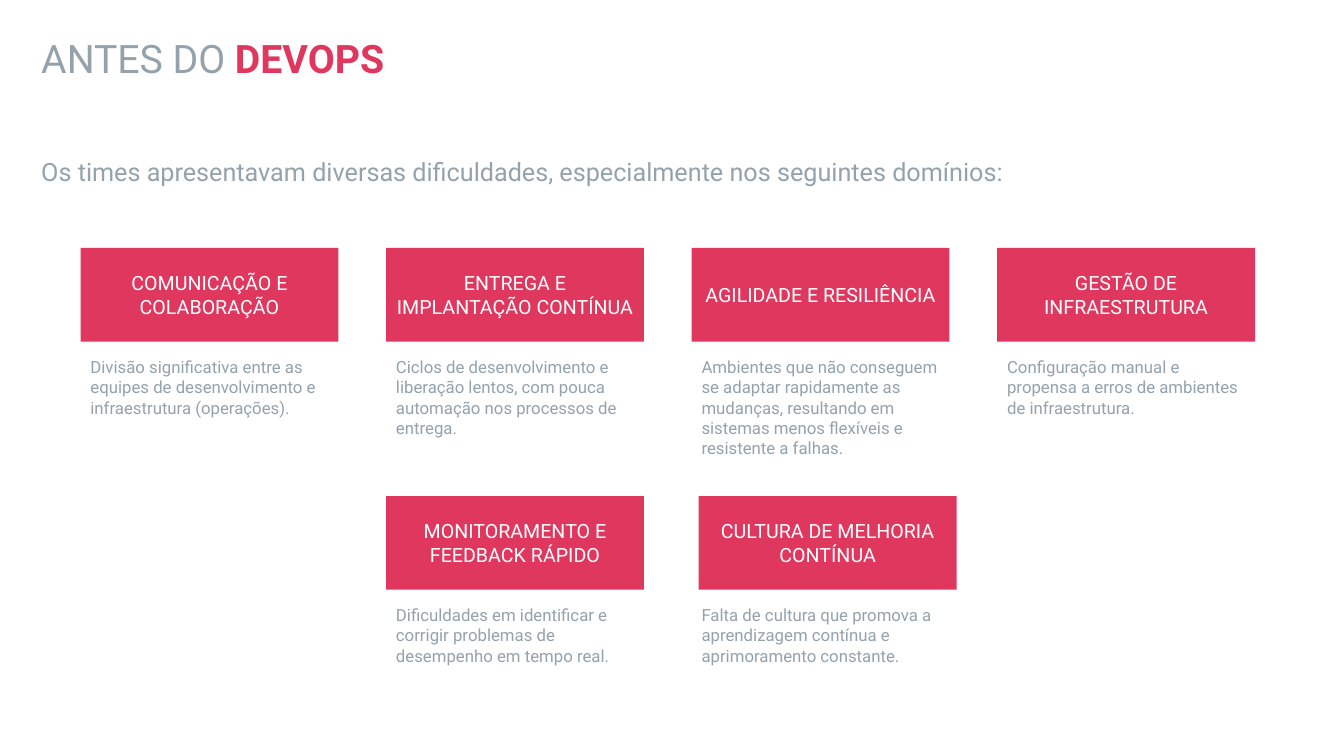
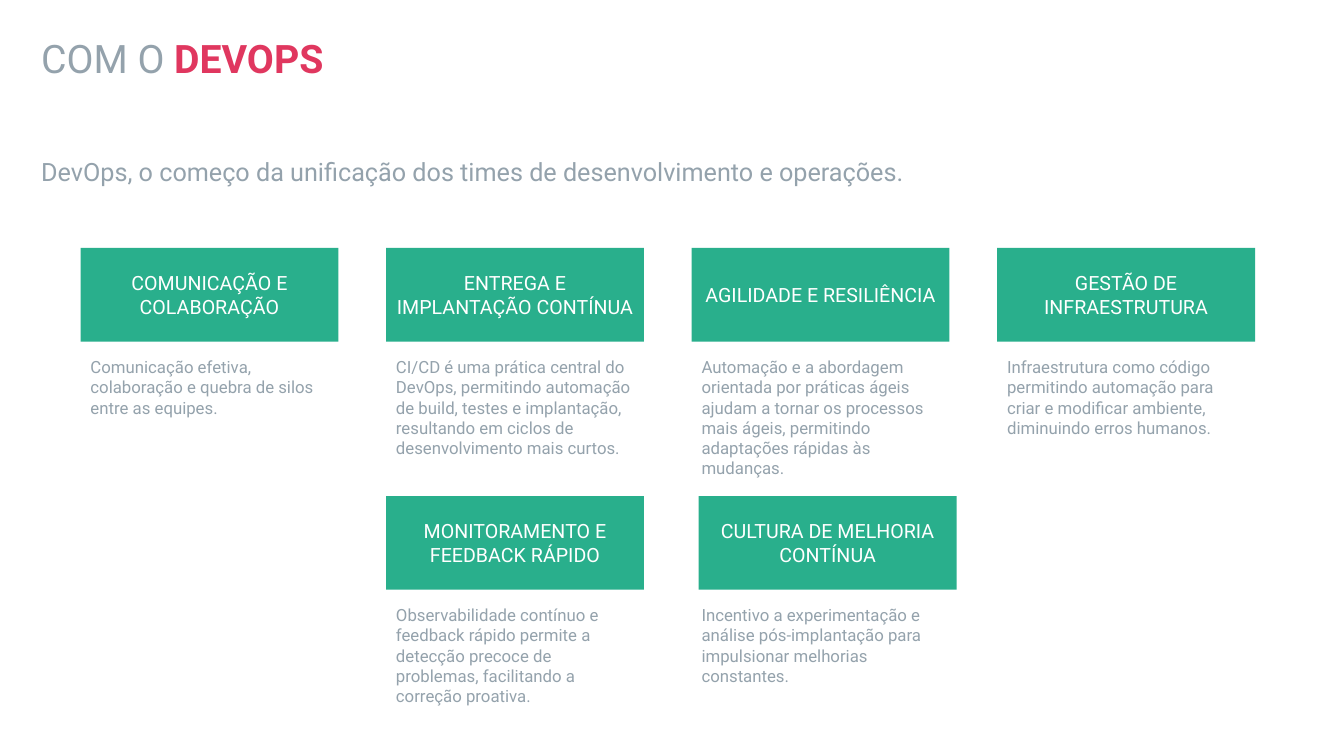
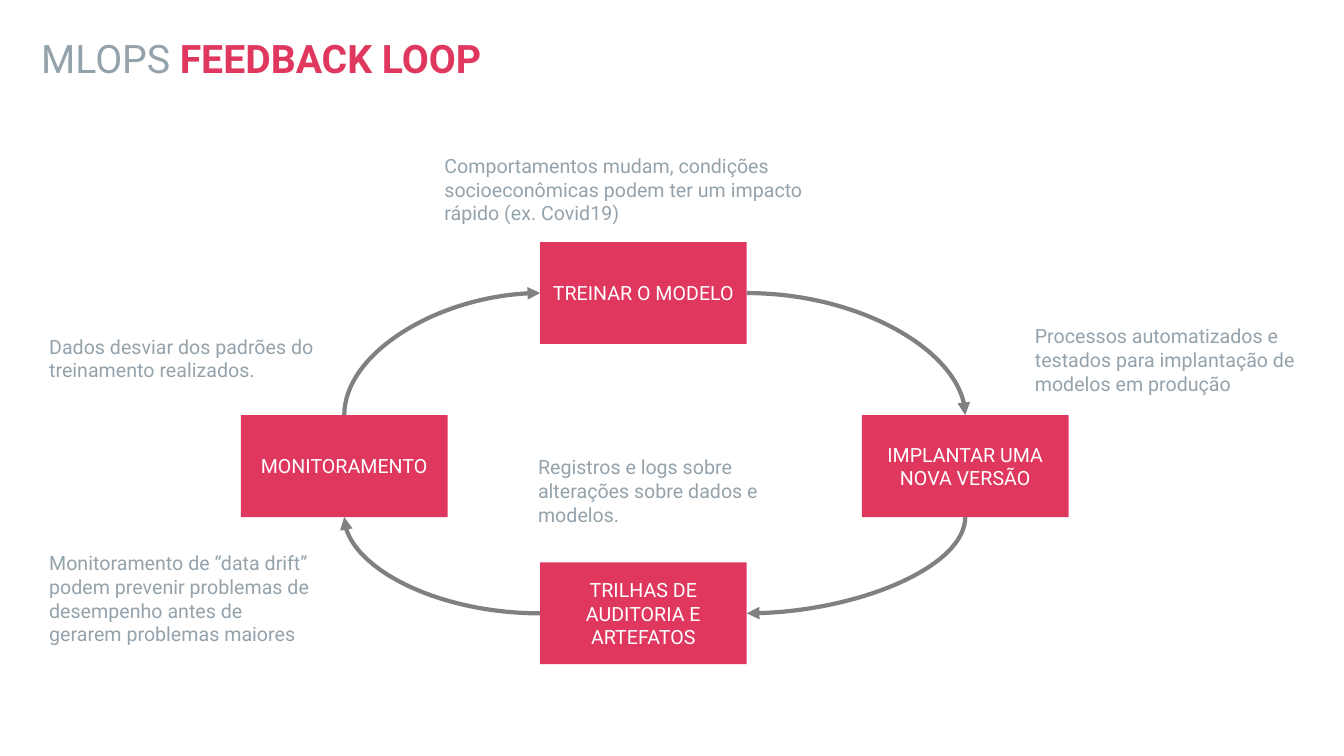
from lxml import etree
from pptx import Presentation
from pptx import util as u
from pptx.dml.color import RGBColor
from pptx.enum import shapes, text
from pptx.oxml.ns import qn

GREY = RGBColor(0x94, 0xA2, 0xAC)
PINK = RGBColor(0xE0, 0x37, 0x5F)
GREEN = RGBColor(0x29, 0xAF, 0x8C)
WHITE = RGBColor(0xFF, 0xFF, 0xFF)
ARROW = RGBColor(0x80, 0x80, 0x80)
FONT = "Roboto"

deck = Presentation()
deck.slide_width, deck.slide_height = u.Cm(33.87), u.Cm(19.05)


def add_note(slide, words, place, size):
    note = slide.shapes.add_textbox(*map(u.Cm, place))
    note.text_frame.word_wrap = True
    line = note.text_frame.paragraphs[0]
    line.add_run().text = words
    line.font.name, line.font.size = FONT, u.Pt(size)
    line.font.color.rgb = GREY
    return note


def add_box(slide, words, place, fill):
    box = slide.shapes.add_shape(shapes.MSO_SHAPE.RECTANGLE, *map(u.Cm, place))
    box.shadow.inherit = False
    box.fill.solid()
    box.fill.fore_color.rgb = fill
    box.line.fill.background()
    box.text_frame.word_wrap = True
    box.text_frame.vertical_anchor = text.MSO_ANCHOR.MIDDLE
    line = box.text_frame.paragraphs[0]
    line.text = words
    line.alignment = text.PP_ALIGN.CENTER
    line.font.name, line.font.size = FONT, u.Pt(14)
    line.font.color.rgb = WHITE
    return box


slides = []
for plain, strong in [("ANTES DO ", "DEVOPS"), ("COM O ", "DEVOPS"), ("MLOPS ", "FEEDBACK LOOP")]:
    slide = deck.slides.add_slide(deck.slide_layouts[6])
    title = add_note(slide, plain, (0.79, 0.74, 29.21, 1.6), 28)
    title.text_frame.vertical_anchor = text.MSO_ANCHOR.MIDDLE
    heading = title.text_frame.paragraphs[0]
    heading.line_spacing = 0.9
    accent = heading.add_run()
    accent.text = strong
    accent.font.bold = True
    accent.font.color.rgb = PINK
    slides.append(slide)

CARD_W, CARD_H = 6.5, 2.36
domains = [
    ("COMUNICAÇÃO E COLABORAÇÃO", 0, 0, 0),
    ("ENTREGA E IMPLANTAÇÃO CONTÍNUA", 1, 0, 0),
    ("AGILIDADE E RESILIÊNCIA", 2, 0, 0),
    ("GESTÃO DE INFRAESTRUTURA", 3, 0, 0),
    ("MONITORAMENTO E FEEDBACK RÁPIDO", 1, 1, 0),
    ("CULTURA DE MELHORIA CONTÍNUA", 2, 1, 0.18),
]
phases = [
    (PINK, "Os times apresentavam diversas dificuldades, especialmente nos seguintes domínios:", [
        "Divisão significativa entre as equipes de desenvolvimento e infraestrutura (operações).",
        "Ciclos de desenvolvimento e liberação lentos, com pouca automação nos processos de entrega.",
        "Ambientes que não conseguem se adaptar rapidamente as mudanças, resultando em sistemas menos "
        "flexíveis e resistente a falhas.",
        "Configuração manual e propensa a erros de ambientes de infraestrutura.",
        "Dificuldades em identificar e corrigir problemas de desempenho em tempo real.",
        "Falta de cultura que promova a aprendizagem contínua e aprimoramento constante.",
    ]),
    (GREEN, "DevOps, o começo da unificação dos times de desenvolvimento e operações.", [
        "Comunicação efetiva, colaboração e quebra de silos entre as equipes.",
        "CI/CD é uma prática central do DevOps, permitindo automação de build, testes e implantação, "
        "resultando em ciclos de desenvolvimento mais curtos.",
        "Automação e a abordagem orientada por práticas ágeis ajudam a tornar os processos mais ágeis, "
        "permitindo adaptações rápidas às mudanças.",
        "Infraestrutura como código permitindo automação para criar e modificar ambiente, diminuindo "
        "erros humanos.",
        "Observabilidade contínuo e feedback rápido permite a detecção precoce de problemas, "
        "facilitando a correção proativa.",
        "Incentivo a experimentação e análise pós-implantação para impulsionar melhorias constantes.",
    ]),
]
for slide, (fill, lead, details) in zip(slides, phases):
    intro = add_note(slide, lead, (0.79, 3.81, 31.78, 1.02), 18)
    intro.text_frame.paragraphs[0].alignment = text.PP_ALIGN.JUSTIFY
    for (domain, column, row, shift), detail in zip(domains, details):
        left, top = 2.03 + 7.7 * column, 6.25 + 6.25 * row
        add_box(slide, domain, (left + shift, top, CARD_W, CARD_H), fill)
        add_note(slide, detail, (left, top + 2.62, CARD_W, 2.8), 12)

loop = slides[2]
steps = [
    add_box(loop, step, (left, top, 5.21, 2.57), PINK)
    for step, left, top in [
        ("TREINAR O MODELO", 13.61, 6.1),
        ("IMPLANTAR UMA NOVA VERSÃO", 21.72, 10.46),
        ("TRILHAS DE AUDITORIA E ARTEFATOS", 13.61, 14.17),
        ("MONITORAMENTO", 6.07, 10.46),
    ]
]
TOP, LEFT, BOTTOM, RIGHT = range(4)
turns = [(RIGHT, TOP, 0, False), (BOTTOM, RIGHT, 90, False), (LEFT, BOTTOM, 180, False), (TOP, LEFT, 90, True)]
for i, (leave, enter, angle, flipped) in enumerate(turns):
    arrow = loop.shapes.add_connector(shapes.MSO_CONNECTOR.CURVE, 0, 0, 0, 0)
    arrow.begin_connect(steps[i], leave)
    arrow.end_connect(steps[(i + 1) % 4], enter)
    arrow.line.color.rgb = ARROW
    arrow.line.width = u.Pt(3)
    x, y, width, height = arrow.left, arrow.top, arrow.width, arrow.height
    if angle == 90:
        x, y = x + (width - height) // 2, y + (height - width) // 2
        width, height = height, width
    arrow.left, arrow.top, arrow.width, arrow.height = x, y, width, height
    props = arrow.line._get_or_add_ln().getparent()
    frame = props.find(qn("a:xfrm"))
    frame.set("rot", str(angle * 60000))
    for flip in ("flipH", "flipV"):
        frame.set(flip, str(int(flipped)))
    props.find(qn("a:prstGeom")).set("prst", "curvedConnector2")
    etree.SubElement(props.find(qn("a:ln")), qn("a:tailEnd"), type="triangle")
    etree.SubElement(props, qn("a:effectLst"))

for remark, place in [
    ("Comportamentos mudam, condições socioeconômicas podem ter um impacto rápido (ex. Covid19)",
     (10.95, 3.76, 9.96, 2.06)),
    ("Processos automatizados e testados para implantação de modelos em produção",
     (25.83, 8.05, 7.26, 2.06)),
    ("Registros e logs sobre alterações sobre dados e modelos.", (13.31, 11.35, 7.26, 2.06)),
    ("Dados desviar dos padrões do treinamento realizados.", (0.99, 8.31, 7.26, 1.45)),
    ("Monitoramento de “data drift” podem prevenir problemas de desempenho antes de gerarem problemas maiores",
     (0.99, 13.77, 7.26, 2.64)),
]:
    add_note(loop, remark, place, 14)

deck.save("out.pptx")
